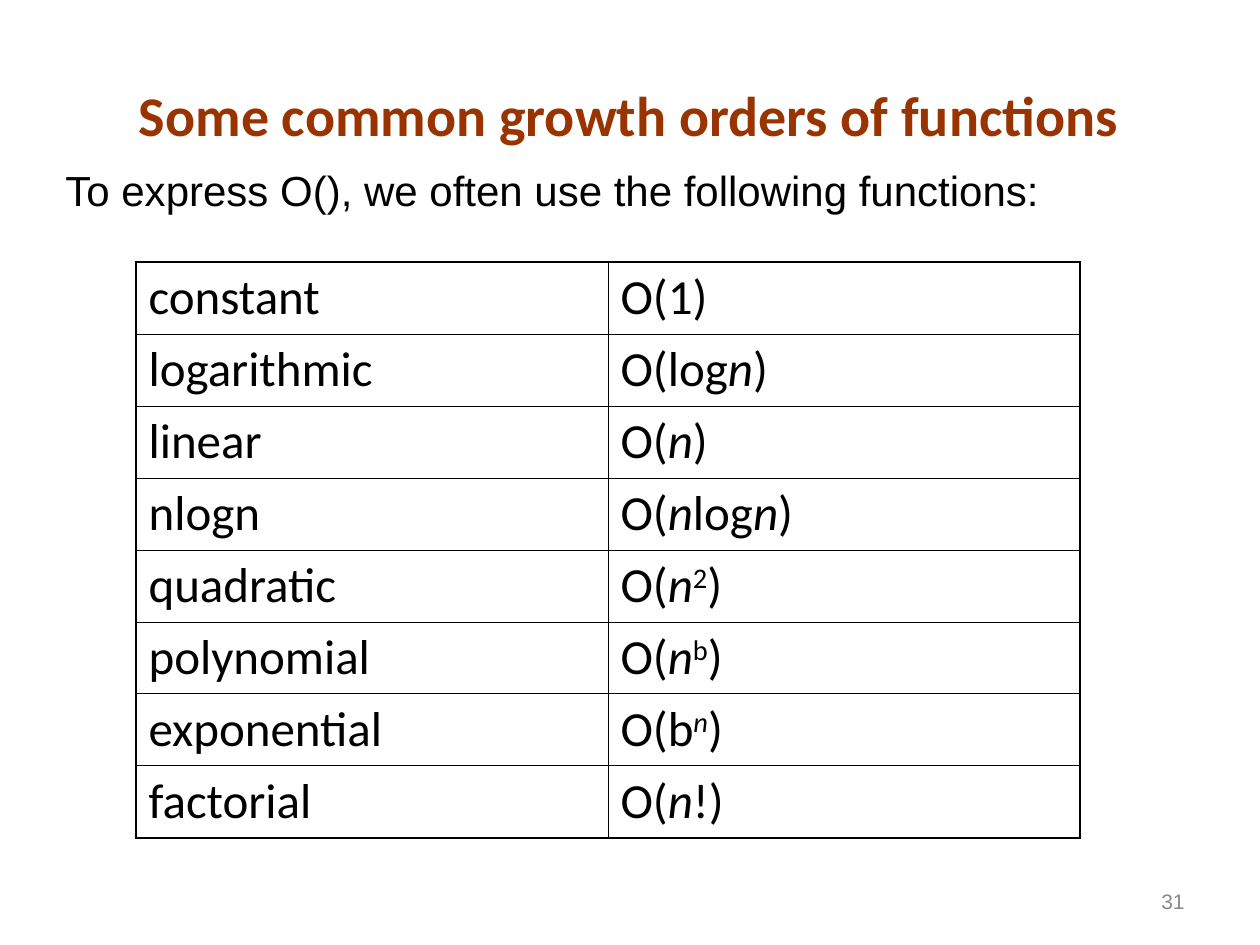
import pptx
import pptx.dml.color
import pptx.enum.text
import pptx.oxml
import pptx.oxml.ns
import pptx.util

PX = 914400 // 126
COLORS = {"title": "993300", "text": "000000", "line": "000000", "number": "898989"}
ALIGN = pptx.enum.text.PP_ALIGN
ANCHOR = pptx.enum.text.MSO_ANCHOR
THIN, THICK = 0.45, 1.08

# In a formula, "|" splits runs, "_" marks italic and "^" marks superscript.
ORDERS = [
    ("constant", "O(1)"),
    ("logarithmic", "O(log|_n|)"),
    ("linear", "O(|_n|)"),
    ("nlogn", "O(|_n|log|_n|)"),
    ("quadratic", "O(|_n|^2|)"),
    ("polynomial", "O(|_n|^b|)"),
    ("exponential", "O(b|^_n|)"),
    ("factorial", "O(|_n|!)"),
]


def px(n):
    return pptx.util.Emu(n * PX)


def write(frame, text, size, font="Calibri", color="text", bold=False,
          align=ALIGN.LEFT, before=0):
    """Fill the first paragraph of a frame with marked-up runs."""
    para = frame.paragraphs[0]
    para.alignment = align
    para.space_before = pptx.util.Pt(before)
    for part in text.split("|"):
        run = para.add_run()
        run.text = part.lstrip("^_")
        marks = part[:len(part) - len(run.text)]
        face = run.font
        face.name, face.size, face.bold = font, pptx.util.Pt(size), bold
        face.italic = "_" in marks
        face.color.rgb = pptx.dml.color.RGBColor.from_string(COLORS[color])
        if "^" in marks:
            face._element.set("baseline", "30000")


def add_text(slide, box, text, size, anchor=ANCHOR.TOP, **style):
    frame = slide.shapes.add_textbox(*map(px, box)).text_frame
    frame.word_wrap = True
    frame.vertical_anchor = anchor
    write(frame, text, size, **style)


def add_edges(cell, widths):
    """Draw cell borders; widths maps L, R, T, B to points."""
    props = cell._tc.get_or_add_tcPr()
    for i, (side, width) in enumerate(widths.items()):
        line = pptx.oxml.parse_xml(
            f'<a:ln{side} {pptx.oxml.ns.nsdecls("a")} w="{pptx.util.Pt(width)}">'
            f'<a:solidFill><a:srgbClr val="{COLORS["line"]}"/></a:solidFill>'
            f'</a:ln{side}>')
        props.insert(i, line)


def add_grid(slide, rows, left, top, wide, high):
    """Add a plain table with a thick frame and thin inner lines."""
    count, span = len(rows), len(rows[0])
    table = slide.shapes.add_table(
        count, span, px(left), px(top), px(wide * span), px(high * count)).table
    table.first_row = table.horz_banding = False
    for col in table.columns:
        col.width = px(wide)
    for r, row in enumerate(rows):
        table.rows[r].height = px(high)
        for c, text in enumerate(row):
            cell = table.cell(r, c)
            cell.fill.background()
            write(cell.text_frame, text, 28, before=7)
            outer = {"L": c == 0, "R": c == span - 1,
                     "T": r == 0, "B": r == count - 1}
            add_edges(cell, {side: THICK if out else THIN
                             for side, out in outer.items()})


def main():
    deck = pptx.Presentation()
    deck.slide_width, deck.slide_height = px(1260), px(945)
    slide = deck.slides.add_slide(deck.slide_layouts[6])
    add_text(slide, (41, 73, 1176, 81), "Some common growth orders of functions",
             32, ANCHOR.BOTTOM, color="title", bold=True, align=ALIGN.CENTER)
    add_grid(slide, ORDERS, 136, 262, 472, 72)
    add_text(slide, (53, 158, 1081, 63),
             "To express O(), we often use the following functions:",
             24, font="Arial", before=15)
    add_text(slide, (903, 876, 294, 50), "31", 12, ANCHOR.MIDDLE,
             font="Arial", color="number", align=ALIGN.RIGHT)
    deck.save("out.pptx")


if __name__ == "__main__":
    main()
